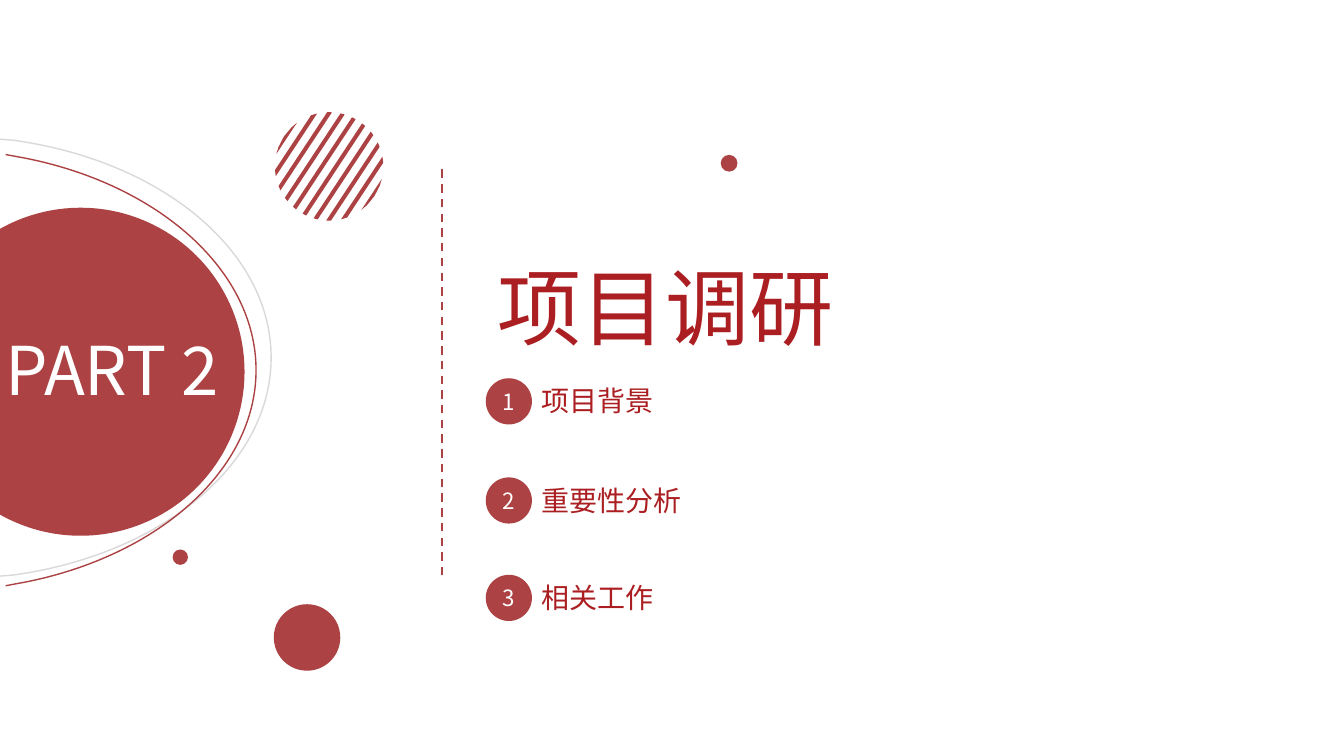
import math

import pptx
import pptx.dml.color
import pptx.enum.dml
import pptx.enum.shapes
import pptx.enum.text
import pptx.oxml.ns
import pptx.util
from lxml import etree

Pt = pptx.util.Pt
Align = pptx.enum.text.PP_ALIGN
qn = pptx.oxml.ns.qn
RED = pptx.dml.color.RGBColor(0xAC, 0x42, 0x43)
DEEP_RED = pptx.dml.color.RGBColor(0xAB, 0x1E, 0x21)
GREY = pptx.dml.color.RGBColor(0xD9, 0xD9, 0xD9)
WHITE = pptx.dml.color.RGBColor(0xFF, 0xFF, 0xFF)
FONT = "Noto Sans CJK SC"

# Text, top of the badge, width of the label
TOPICS = [("项目背景", 270.2, 95), ("重要性分析", 341, 115), ("相关工作", 410.6, 95)]
BADGE_LEFT, BADGE_SIZE = 347, 33
TOPIC_LEFT = 379.5

# Upper half of each arc: start, line end, two curve controls, rightmost point
GREY_ARC = [(-7.9, 98.8), (9.4, 100.2), (114.5, 114.6), (193.7, 178.6), (193.7, 255.5)]
RED_ARC = [(4, 110.4), (18, 113), (113, 131.8), (182.9, 193), (182.9, 264.4)]


def write(shape, text, size, color, align=Align.LEFT):
    paragraph = shape.text_frame.paragraphs[0]
    paragraph.alignment = align
    run = paragraph.add_run()
    run.text = text
    run.font.size = Pt(size)
    run.font.color.rgb = color
    run.font.name = FONT
    east_asian = etree.SubElement(run.font._element, qn("a:ea"))
    east_asian.set("typeface", FONT)


def add_label(slide, left, top, width, height, text, size, color,
              align=Align.LEFT, wrap=False):
    label = slide.shapes.add_textbox(Pt(left), Pt(top), Pt(width), Pt(height))
    label.text_frame.word_wrap = wrap
    label.text_frame.auto_size = pptx.enum.text.MSO_AUTO_SIZE.SHAPE_TO_FIT_TEXT
    write(label, text, size, color, align)


def fill_red(shape):
    shape.shadow.inherit = False
    shape.fill.solid()
    shape.fill.fore_color.rgb = RED
    shape.line.fill.background()


def add_disc(slide, left, top, size):
    disc = slide.shapes.add_shape(
        pptx.enum.shapes.MSO_SHAPE.OVAL, Pt(left), Pt(top), Pt(size), Pt(size))
    fill_red(disc)
    return disc


def add_topic(slide, number, text, top, width):
    add_label(slide, TOPIC_LEFT, top + 0.5, width, 31.5, text, 20, DEEP_RED)
    badge = add_disc(slide, BADGE_LEFT, top, BADGE_SIZE)
    frame = badge.text_frame
    frame.margin_left = frame.margin_right = frame.margin_top = frame.margin_bottom = 0
    frame.vertical_anchor = pptx.enum.text.MSO_ANCHOR.MIDDLE
    write(badge, str(number), 16, WHITE, Align.CENTER)


def emu(points):
    return [(Pt(x), Pt(y)) for x, y in points]


def merge_into_curve(segments):
    """Turn three line segments into one cubic curve through their points."""
    curve = etree.Element(qn("a:cubicBezTo"))
    segments[0].addprevious(curve)
    for segment in segments:
        curve.append(segment[0])
        segment.getparent().remove(segment)


def add_arc(slide, upper_half, color):
    """Open arc whose lower half mirrors the upper one."""
    axis = upper_half[-1][1]
    lower_half = [(x, 2 * axis - y) for x, y in reversed(upper_half[:-1])]
    outline = emu(upper_half + lower_half)
    builder = slide.shapes.build_freeform(*outline[0], scale=1.0)
    builder.add_line_segments(outline[1:], close=False)
    arc = builder.convert_to_shape()
    segments = list(arc._element.iter(qn("a:lnTo")))
    merge_into_curve(segments[1:4])
    merge_into_curve(segments[4:7])
    arc.shadow.inherit = False
    arc.fill.background()
    arc.line.color.rgb = color
    arc.line.width = Pt(1)


def stripe_outline(offset, half_width, center, radius, angle):
    """Band at a distance from the centre, cut off by the circle."""
    cos, sin = math.cos(angle), math.sin(angle)
    ends = {1: [], -1: []}
    for across in (offset - half_width, offset, offset + half_width):
        across = max(-radius, min(radius, across))
        reach = math.sqrt(radius ** 2 - across ** 2)
        for side, points in ends.items():
            along = side * reach
            points.append((center[0] + across * cos + along * sin,
                           center[1] + across * sin - along * cos))
    return emu(ends[1] + ends[-1][::-1])


def add_striped_disc(slide, center, radius, count, pitch, width, angle):
    outlines = [stripe_outline((i - (count - 1) / 2) * pitch, width / 2,
                               center, radius, angle) for i in range(count)]
    builder = slide.shapes.build_freeform(*outlines[0][0], scale=1.0)
    for outline in outlines:
        if outline is not outlines[0]:
            builder.move_to(*outline[0])
        builder.add_line_segments(outline[1:], close=True)
    fill_red(builder.convert_to_shape())


def add_divider(slide, x, bottom, top):
    divider = slide.shapes.add_connector(
        pptx.enum.shapes.MSO_CONNECTOR.STRAIGHT, Pt(x), Pt(bottom), Pt(x), Pt(top))
    divider.line.color.rgb = RED
    divider.line.width = Pt(1.5)
    divider.line.dash_style = pptx.enum.dml.MSO_LINE.DASH
    etree.SubElement(divider._element.spPr, qn("a:effectLst"))


def main():
    deck = pptx.Presentation()
    deck.slide_width, deck.slide_height = Pt(960), Pt(540)
    slide = deck.slides.add_slide(deck.slide_layouts[6])

    add_arc(slide, GREY_ARC, GREY)
    add_arc(slide, RED_ARC, RED)
    add_disc(slide, -59.6, 148.4, 234.3)
    add_divider(slide, 315.5, 411, 116.6)
    add_label(slide, 347, 179.3, 257, 80, "项目调研", 60, DEEP_RED, Align.CENTER)
    for number, (text, top, width) in enumerate(TOPICS, start=1):
        add_topic(slide, number, text, top, width)
    add_striped_disc(slide, center=(235.1, 118.9), radius=38.7, count=10,
                     pitch=8.4, width=2.9, angle=math.radians(33.4))
    add_disc(slide, 514.8, 110.6, 12)
    add_disc(slide, 123.3, 392.5, 11)
    add_disc(slide, 195.6, 431.6, 47.5)
    add_label(slide, -3.3, 231, 186.5, 65.5, "PART 2", 48, WHITE, wrap=True)

    deck.save("out.pptx")


if __name__ == "__main__":
    main()
